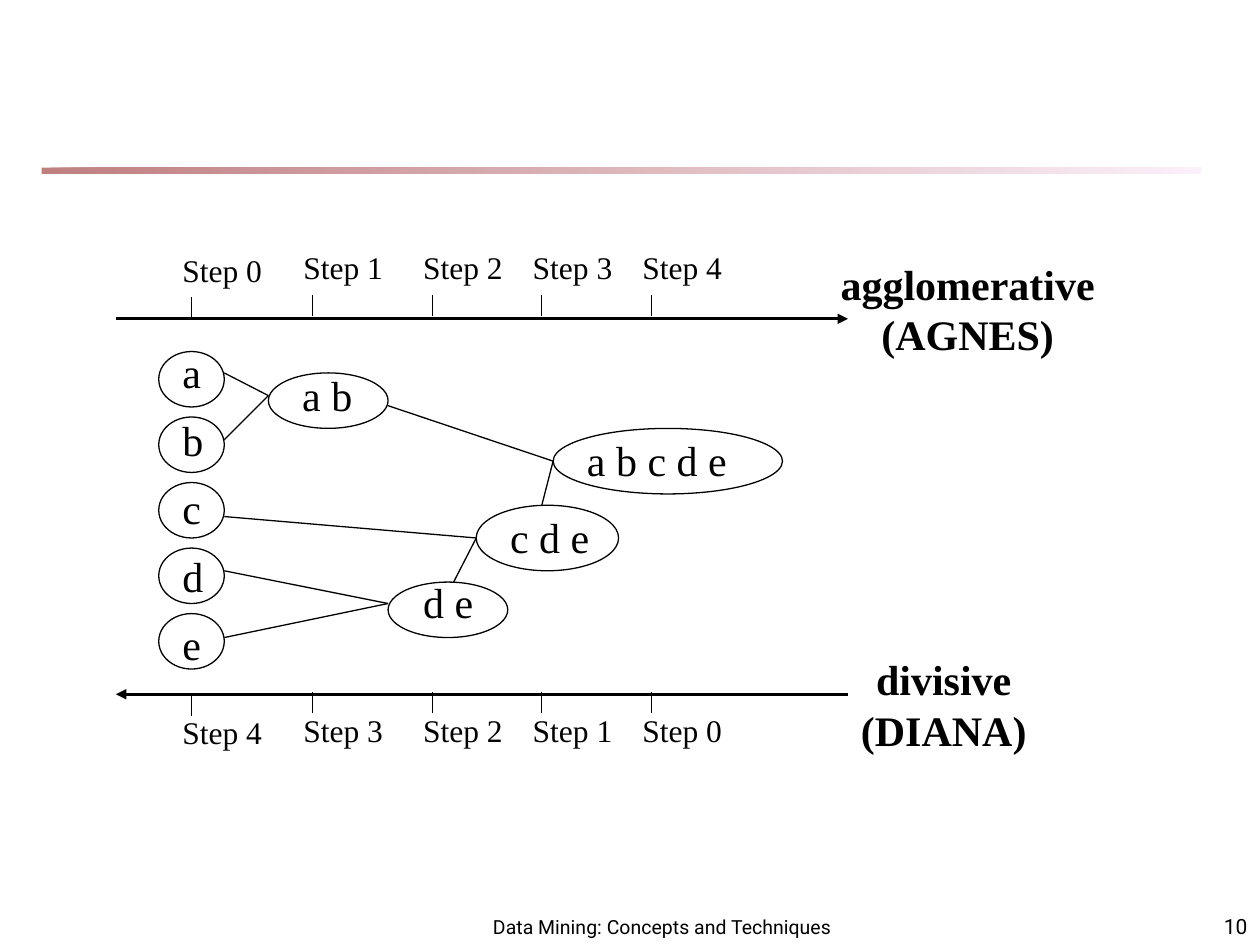
import pptx
import pptx.util
import pptx.dml.color
import pptx.enum.dml
import pptx.enum.shapes
import pptx.enum.text
import pptx.oxml
import pptx.oxml.ns
import lxml.etree
from pptx.util import Inches, Pt

COLORS = {"ink": "000000", "rule_start": "800000", "rule_end": "FAE2F6"}
SERIF, SANS = "Times New Roman", "Roboto"
ALIGN = pptx.enum.text.PP_ALIGN
ANCHOR = pptx.enum.text.MSO_ANCHOR
AUTO_SIZE = pptx.enum.text.MSO_AUTO_SIZE
SHAPES = pptx.enum.shapes.MSO_SHAPE

STEP_XS = [1.52, 2.48, 3.43, 4.3, 5.17]
LABEL_INSET = 0.17
LEAF_TOP, LEAF_PITCH = 2.79, 0.52
LEAF_TEXT_TOP, LEAF_TEXT_PITCH = 2.7, 0.54

# text, text position and width, ellipse position and size
CLUSTERS = [
    ("a b", (2.3, 2.88, 0.6), (2.13, 2.96, 0.95, 0.44)),
    ("d e", (3.26, 4.53, 0.6), (3.08, 4.62, 0.95, 0.44)),
    ("c d e", (3.95, 4.01, 0.83), (3.78, 4.01, 1.13, 0.52)),
    ("a b c d e", (4.56, 3.4, 1.31), (4.39, 3.4, 1.82, 0.52)),
]
BRANCHES = [
    (1.78, 2.96, 2.13, 3.14), (1.78, 3.49, 2.13, 3.14),
    (1.78, 4.53, 3.08, 4.79), (1.78, 5.06, 3.08, 4.79),
    (1.78, 4.1, 3.78, 4.27), (3.6, 4.62, 3.78, 4.27),
    (3.08, 3.22, 4.39, 3.66), (4.3, 4.01, 4.39, 3.66),
]


def rgb(name):
    return pptx.dml.color.RGBColor.from_string(COLORS[name])


def add_text(page, lines, left, top, width, height, size, font=SERIF, bold=False,
             align=ALIGN.LEFT, anchor=ANCHOR.TOP, wrap=True, auto_size=AUTO_SIZE.NONE):
    box = page.shapes.add_textbox(Inches(left), Inches(top), Inches(width), Inches(height))
    frame = box.text_frame
    frame.text = "\n".join(lines)
    frame_format = {"word_wrap": wrap, "auto_size": auto_size, "vertical_anchor": anchor}
    for name, value in frame_format.items():
        setattr(frame, name, value)
    for para in frame.paragraphs:
        para.alignment = align
        for span in para.runs:
            for name, value in {"name": font, "size": Pt(size), "bold": bold}.items():
                setattr(span.font, name, value)
            span.font.color.rgb = rgb("ink")


def add_line(page, x1, y1, x2, y2, weight=0.75, arrow=False):
    line = page.shapes.add_connector(pptx.enum.shapes.MSO_CONNECTOR.STRAIGHT,
                                     Inches(x1), Inches(y1), Inches(x2), Inches(y2))
    line.line.width = Pt(weight)
    line.line.color.rgb = rgb("ink")
    if arrow:
        tail = lxml.etree.SubElement(line.line._get_or_add_ln(), pptx.oxml.ns.qn("a:tailEnd"))
        tail.set("type", "triangle")
    lxml.etree.SubElement(line._element.spPr, pptx.oxml.ns.qn("a:effectLst"))


def add_ellipse(page, left, top, width, height):
    ellipse = page.shapes.add_shape(SHAPES.OVAL, Inches(left), Inches(top),
                                    Inches(width), Inches(height))
    ellipse.shadow.inherit = False
    ellipse.fill.background()
    ellipse.line.width = Pt(0.75)
    ellipse.line.color.rgb = rgb("ink")


def add_node(page, text, text_place, ellipse_place):
    left, top, width = text_place
    add_text(page, [text], left, top, width, 0.5, 24, wrap=False,
             auto_size=AUTO_SIZE.SHAPE_TO_FIT_TEXT)
    add_ellipse(page, *ellipse_place)


def add_rule(page):
    """Half-transparent gradient bar below the title area."""
    rule = page.shapes.add_shape(SHAPES.RECTANGLE, Inches(0.33), Inches(1.33),
                                 Inches(9.2), Inches(0.05))
    rule.shadow.inherit = False
    rule.line.fill.background()
    rule.fill.gradient()
    rule.fill.gradient_angle = 0
    for stop, name, position in zip(rule.fill.gradient_stops, ("rule_start", "rule_end"), (0, 1)):
        stop.color.rgb = rgb(name)
        stop.position = position
    for color in rule._element.spPr.iter(pptx.oxml.ns.qn("a:srgbClr")):
        lxml.etree.SubElement(color, pptx.oxml.ns.qn("a:alpha")).set("val", "50000")


def add_step_axis(page, start, end, y, tick_top, label_top, steps):
    add_line(page, start, y, end, y, weight=1.5, arrow=True)
    for index, (x, step) in enumerate(zip(STEP_XS, steps)):
        drop = 0.02 if index == 0 else 0
        add_line(page, x, tick_top + drop, x, tick_top + drop + 0.17)
        add_text(page, [f"Step {step}"], x - LABEL_INSET, label_top + drop, 0.87, 0.4, 18)


def add_method(page, lines, left, top, width):
    add_text(page, lines, left, top, width, 0.9, 24, bold=True, align=ALIGN.CENTER,
             wrap=False, auto_size=AUTO_SIZE.SHAPE_TO_FIT_TEXT)


def main():
    deck = pptx.Presentation()
    deck.slide_width, deck.slide_height = Inches(10), Inches(7.5)
    page = deck.slides.add_slide(deck.slide_layouts[6])

    add_rule(page)
    add_text(page, ["Data Mining: Concepts and Techniques"], 3.67, 7.08, 3.17, 0.42, 11.1,
             font=SANS, align=ALIGN.CENTER, anchor=ANCHOR.BOTTOM)
    add_text(page, ["10"], 7.92, 7.08, 2.08, 0.42, 12,
             font=SANS, align=ALIGN.RIGHT, anchor=ANCHOR.BOTTOM)

    add_step_axis(page, 0.92, 6.73, 2.53, 2.34, 1.92, range(5))
    add_step_axis(page, 6.73, 0.92, 5.51, 5.49, 5.59, reversed(range(5)))

    for row, letter in enumerate("abcde"):
        add_node(page, letter, (1.35, LEAF_TEXT_TOP + row * LEAF_TEXT_PITCH, 0.36),
                 (1.26, LEAF_TOP + row * LEAF_PITCH, 0.52, 0.44))
    for cluster in CLUSTERS:
        add_node(page, *cluster)
    for branch in BRANCHES:
        add_line(page, *branch)

    add_method(page, ["agglomerative", "(AGNES)"], 6.52, 2, 2.32)
    add_method(page, ["divisive", "(DIANA)"], 6.64, 5.14, 1.7)
    deck.save("out.pptx")


if __name__ == "__main__":
    main()
